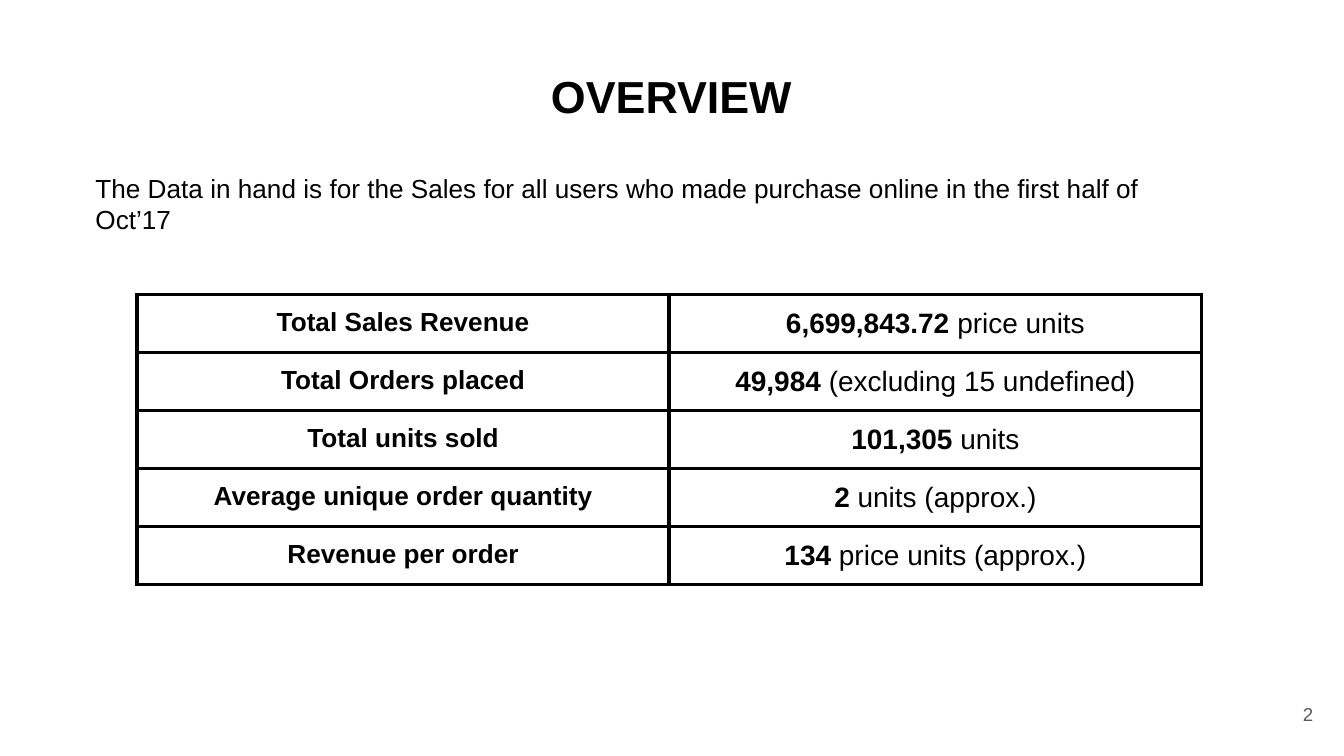
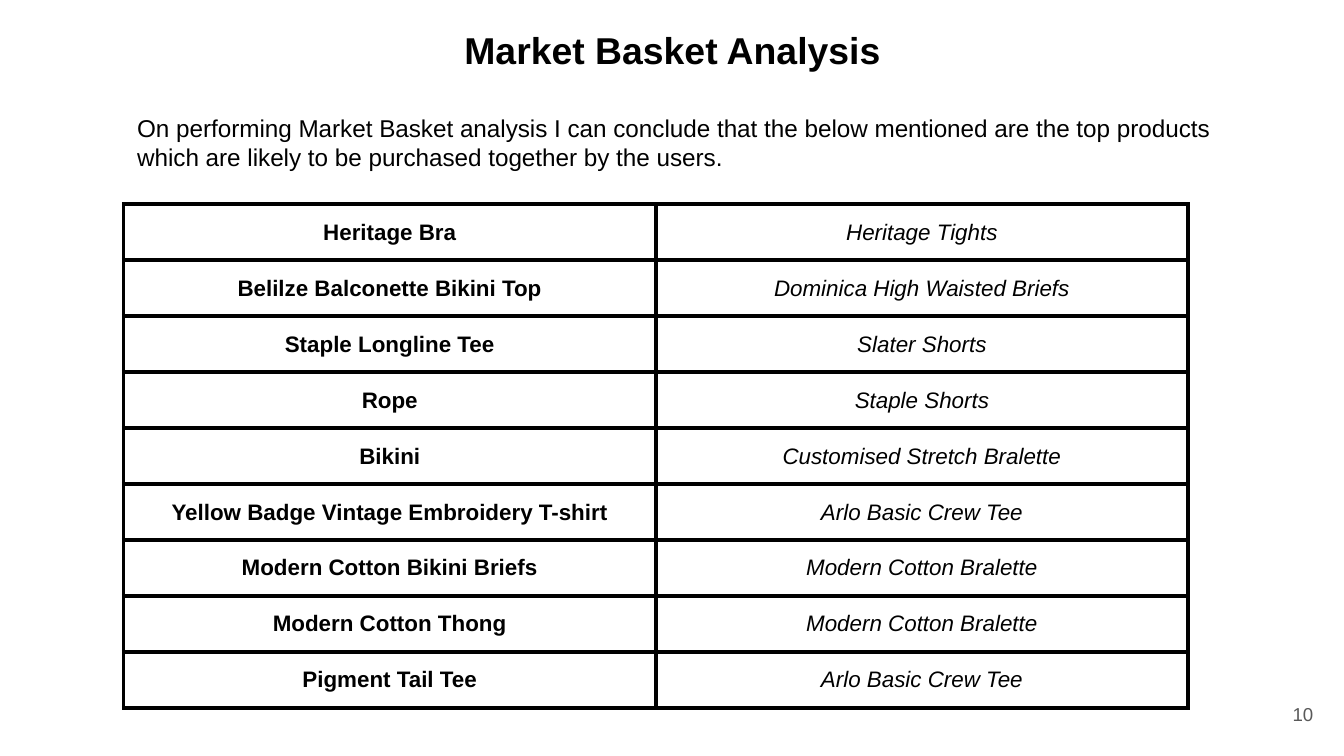
from lxml.etree import SubElement
from pptx import Presentation
from pptx.dml.color import RGBColor
from pptx.enum.text import MSO_ANCHOR as Anchor, MSO_AUTO_SIZE as AutoSize, PP_ALIGN as Align
from pptx.oxml.ns import qn
from pptx.util import Inches, Pt

# Shared look
COLORS = {"text": "000000", "border": "000000", "number": "595959"}
FONT = "Arial"
BORDER_POINTS = 2.25
COLUMN_WIDTH, ROW_HEIGHT = 3.96, 3.75 / 9
NUMBER_PLACE = (9.27, 5.1, 0.6, 0.43)

# Content: each cell is a list of (text, font format) spans
BOLD, PLAIN, ITALIC = {"bold": True}, {"bold": False}, {"italic": True}
overview_rows = [
    ("Total Sales Revenue", "6,699,843.72 ", "price units"),
    ("Total Orders placed", "49,984 ", "(excluding 15 undefined)"),
    ("Total units sold", "101,305 ", "units"),
    ("Average unique order quantity", "2 ", "units (approx.)"),
    ("Revenue per order", "134", " price units (approx.)"),
]
basket_rows = [
    ("Heritage Bra", "Heritage Tights"),
    ("Belilze Balconette Bikini Top", "Dominica High Waisted Briefs"),
    ("Staple Longline Tee", "Slater Shorts"),
    ("Rope", "Staple Shorts"),
    ("Bikini", "Customised Stretch Bralette"),
    ("Yellow Badge Vintage Embroidery T-shirt", "Arlo Basic Crew Tee"),
    ("Modern Cotton Bikini Briefs", "Modern Cotton Bralette"),
    ("Modern Cotton Thong", "Modern Cotton Bralette"),
    ("Pigment Tail Tee", "Arlo Basic Crew Tee"),
]
pages = [
    {
        "title": "OVERVIEW", "title_place": (2.72, 0.41, 4.55, 0.5), "title_size": 24,
        "intro": "The Data in hand is for the Sales for all users who made purchase "
                 "online in the first half of Oct’17",
        "intro_place": (0.61, 1.18, 8.44, 0.74), "intro_size": 14,
        "table_corner": (1.02, 2.19), "cell_sizes": (14, 15), "anchor": Anchor.TOP,
        "rows": [([(label, BOLD)], [(value, BOLD), (unit, PLAIN)])
                 for label, value, unit in overview_rows],
        "number": "2",
    },
    {
        "title": "Market Basket Analysis", "title_place": (1.48, 0.1, 7.05, 0.63), "title_size": 20,
        "intro": "On performing Market Basket analysis I can conclude that the below mentioned "
                 "are the top products which are likely to be purchased together by the users.",
        "intro_place": (0.92, 0.74, 8.37, 0.42), "intro_size": 13,
        "table_corner": (0.92, 1.52), "cell_sizes": (12, 12), "anchor": Anchor.MIDDLE,
        "rows": [([(first, BOLD)], [(second, ITALIC)]) for first, second in basket_rows],
        "number": "10",
    },
]


def write(frame, spans, size, align, color="text"):
    """Fill the first paragraph of a text frame with formatted spans."""
    para = frame.paragraphs[0]
    para.alignment = align
    para.space_before = Pt(0)
    for text, style in spans:
        span = para.add_run()
        span.text = text
        span.font.color.rgb = RGBColor.from_string(COLORS[color])
        for name, value in {"name": FONT, "size": Pt(size), **style}.items():
            setattr(span.font, name, value)
    return para


def place(box, spot, anchor):
    """Position a text shape and give it the shared text frame settings."""
    for name, value in zip(("left", "top", "width", "height"), spot):
        setattr(box, name, Inches(value))
    frame = box.text_frame
    settings = {"word_wrap": True, "auto_size": AutoSize.NONE, "vertical_anchor": anchor}
    for side in ("left", "top", "right", "bottom"):
        settings[f"margin_{side}"] = Inches(0.1)
    for name, value in settings.items():
        setattr(frame, name, value)
    return frame


# Widescreen deck, 16 by 9
deck = Presentation()
deck.slide_width, deck.slide_height = Inches(10), Inches(10 * 9 / 16)

for page in pages:
    slide = deck.slides.add_slide(deck.slide_layouts[1])

    # Title
    title = place(slide.shapes.title, page["title_place"], Anchor.TOP)
    write(title, [(page["title"], BOLD)], page["title_size"], Align.CENTER)

    # Introduction, without the template's bullet
    intro = place(slide.placeholders[1], page["intro_place"], Anchor.TOP)
    para = write(intro, [(page["intro"], PLAIN)], page["intro_size"], Align.LEFT)
    para_format = para._p.get_or_add_pPr()
    para_format.set("marL", "0")
    para_format.set("indent", "0")
    SubElement(para_format, qn("a:buNone"))

    # Table
    rows = page["rows"]
    left, top = page["table_corner"]
    table = slide.shapes.add_table(
        len(rows), 2, Inches(left), Inches(top),
        Inches(2 * COLUMN_WIDTH), Inches(ROW_HEIGHT * len(rows))).table
    table.first_row = table.horz_banding = False
    for column in table.columns:
        column.width = Inches(COLUMN_WIDTH)
    for row, contents in zip(table.rows, rows):
        row.height = Inches(ROW_HEIGHT)
        for cell, spans, size in zip(row.cells, contents, page["cell_sizes"]):
            cell.vertical_anchor = page["anchor"]
            for side in ("left", "top", "right", "bottom"):
                setattr(cell, f"margin_{side}", Inches(0.1))
            write(cell.text_frame, spans, size, Align.CENTER)
            # Borders come before the fill in the cell properties
            cell_format = cell._tc.get_or_add_tcPr()
            for edge in ("a:lnL", "a:lnR", "a:lnT", "a:lnB"):
                line = SubElement(cell_format, qn(edge), w=str(Pt(BORDER_POINTS)))
                fill = SubElement(line, qn("a:solidFill"))
                SubElement(fill, qn("a:srgbClr"), val=COLORS["border"])
            cell.fill.background()

    # Page number
    number_box = slide.shapes.add_textbox(0, 0, 0, 0)
    number = place(number_box, NUMBER_PLACE, Anchor.MIDDLE)
    write(number, [(page["number"], PLAIN)], 10, Align.RIGHT, "number")

deck.save("out.pptx")
